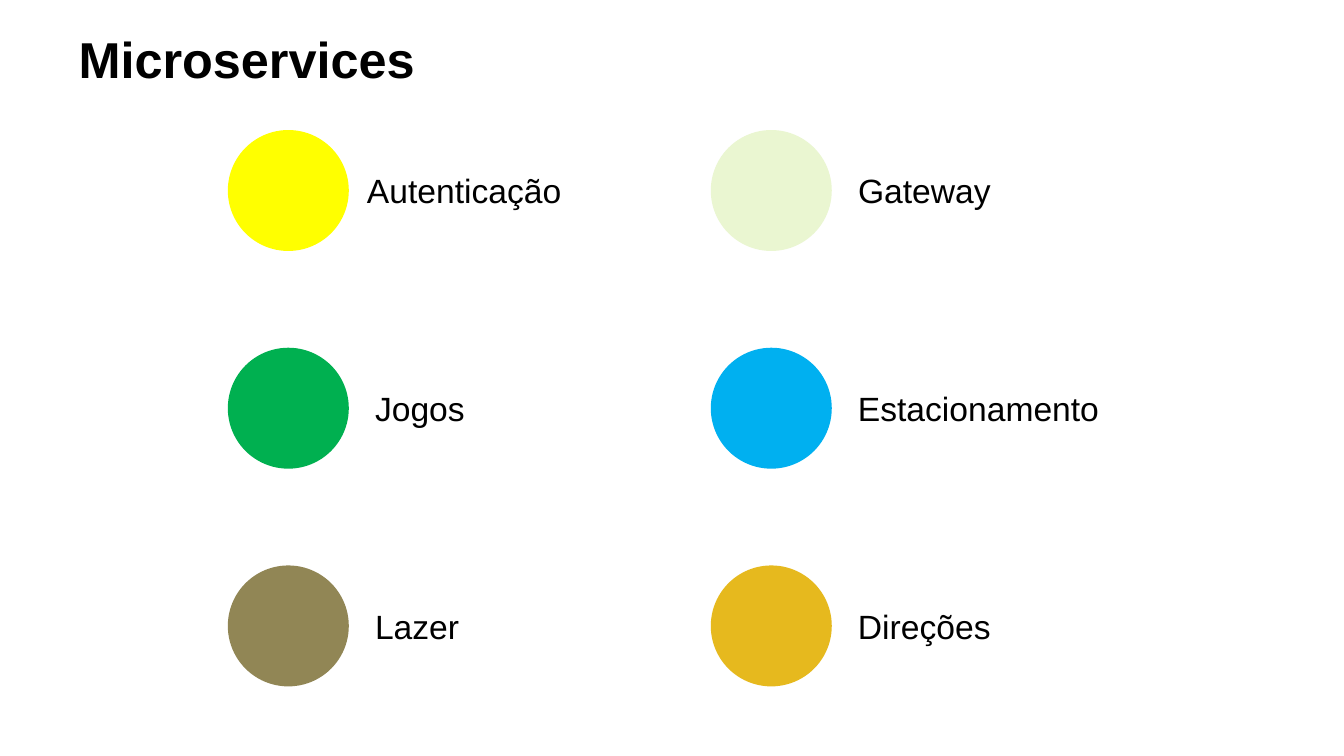
from pptx import Presentation
from pptx.dml.color import RGBColor
from pptx.enum.shapes import MSO_SHAPE
from pptx.enum.text import MSO_ANCHOR, PP_ALIGN
from pptx.util import Inches, Pt

OVAL = MSO_SHAPE.OVAL
TOP, MIDDLE = MSO_ANCHOR.TOP, MSO_ANCHOR.MIDDLE
LEFT = PP_ALIGN.LEFT

COLOURS = {
    "text": "000000",
    "Autenticação": "FFFF00",
    "Gateway": "EAF6D1",
    "Jogos": "00B050",
    "Estacionamento": "00B0F0",
    "Lazer": "918655",
    "Direções": "E6B91E",
}
# Each row holds (service, label width) for the left and right column.
SERVICES = [
    [("Autenticação", 2.04), ("Gateway", 1.75)],
    [("Jogos", 1.1), ("Estacionamento", 2.56)],
    [("Lazer", 0.9), ("Direções", 1.33)],
]
GRID_LEFT, GRID_TOP = 2.26, 1.29
COLUMN_STEP, ROW_STEP = 4.79, 2.16
DIAMETER = Inches(1.2)
LABEL_OFFSET = 1.46
LABEL_SHIFTS = {"Autenticação": -0.08}


def write_text(box, text, size, anchor, bold=False):
    frame = box.text_frame
    frame.word_wrap = True
    frame.vertical_anchor = anchor
    para = frame.paragraphs[0]
    para.text = text
    para.alignment = LEFT
    para.font.name = "Arial"
    para.font.size = Pt(size)
    para.font.bold = bold
    para.font.color.rgb = RGBColor.from_string(COLOURS["text"])
    return frame


deck = Presentation()
deck.slide_width, deck.slide_height = Inches(13.33), Inches(7.5)
slide = deck.slides.add_slide(deck.slide_layouts[5])

title = slide.shapes.title
title.left, title.top = Inches(0.68), Inches(0.34)
title.width, title.height = Inches(4.31), Inches(0.59)
title_frame = write_text(title, "Microservices", 36, TOP, bold=True)
title_frame.paragraphs[0].line_spacing = 0.8

for row, services in enumerate(SERVICES):
    top = Inches(GRID_TOP + row * ROW_STEP)
    bottom = top + DIAMETER
    for column, (name, label_width) in enumerate(services):
        left = GRID_LEFT + column * COLUMN_STEP

        circle = slide.shapes.add_shape(OVAL, Inches(left), top, DIAMETER, DIAMETER)
        circle.fill.solid()
        circle.fill.fore_color.rgb = RGBColor.from_string(COLOURS[name])

        label_left = left + LABEL_OFFSET + LABEL_SHIFTS.get(name, 0)
        start, end = Inches(label_left), Inches(label_left + label_width)
        outline = slide.shapes.build_freeform(start, top)
        outline.add_line_segments([(end, top), (end, bottom), (start, bottom)])
        label = outline.convert_to_shape()
        label.fill.background()
        frame = write_text(label, name, 24, MIDDLE)
        frame.margin_left = frame.margin_right = 0
        frame.margin_top = frame.margin_bottom = 0

        for shape in (circle, label):
            shape.shadow.inherit = False
            shape.line.fill.background()

deck.save("out.pptx")
